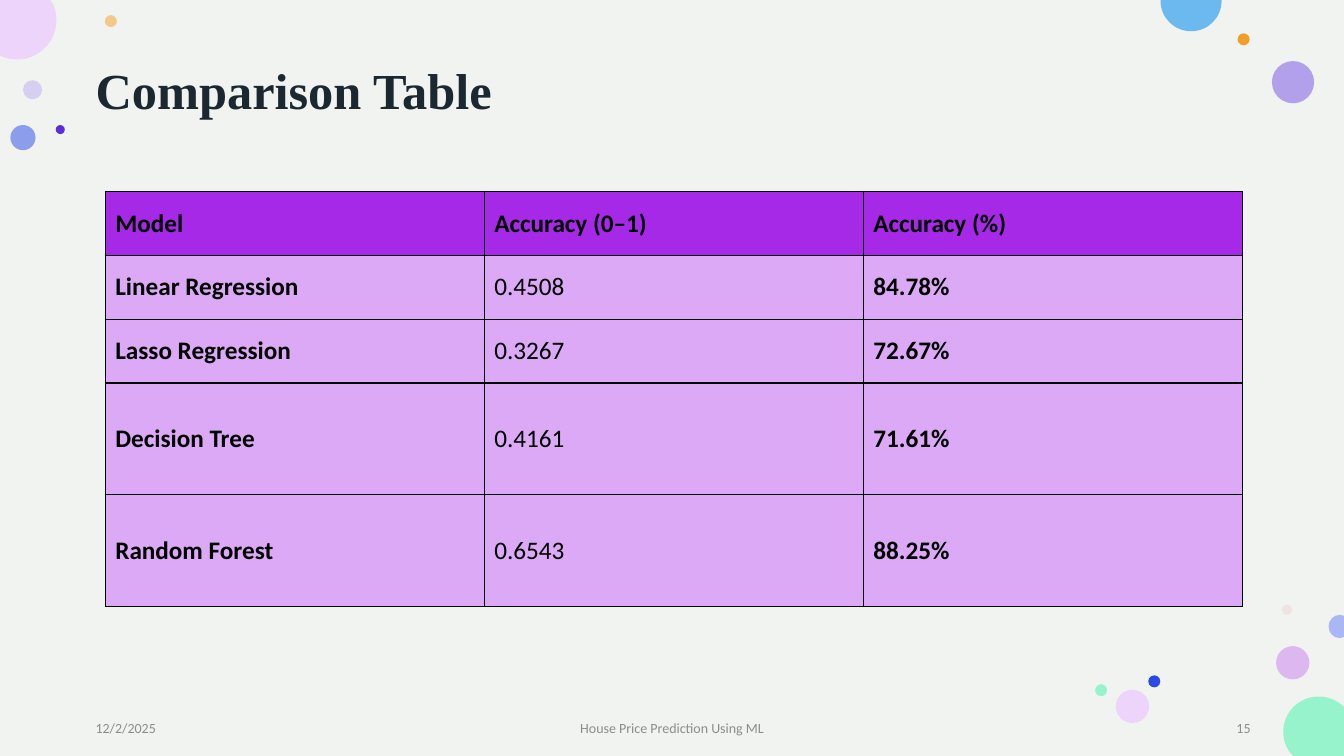
from lxml import etree
from pptx import Presentation
from pptx.dml import color
from pptx.enum import shapes, text
from pptx.oxml import ns
from pptx.util import Pt

WIDTH, HEIGHT = 960, 540

DOTS = [
    (16.4, 57.3, 13.7, "BDACF0", 50),
    (74.9, 10.8, 8.6, "F39E29", 50),
    (911.5, 461.5, 23.8, "CA7FF1", 50),
    (7.4, 89.3, 18, "294AE7", 50),
    (908.5, 43.6, 30.2, "9B82E8", 72),
    (884, 23.8, 8.6, "F39E29", 100),
    (915.8, 432, 7.2, "E3BEBE", 28),
    (820.2, 482.4, 8.6, "294AE7", 100),
    (797, 492.7, 23.8, "EDD4FA", 100),
    (782.2, 488.7, 8.6, "97F3CC", 100),
    (39.8, 89.3, 6.5, "592FD9", 100),
]

EDGE_BUBBLES = [
    ("97F3CC", (941.8, 497.5), [
        (948.9, 497.5, 955.1, 500.3, 959.8, 504.7), (960, 505.2), (960, 540),
        (923.8, 540), (922.4, 538.6),
        (918.6, 534.2, 916.6, 528.6, 916.6, 522.7),
        (916.6, 508.8, 927.9, 497.5, 941.8, 497.5)]),
    ("EDD4FA", (0, 0), [
        (36, 0), (38.2, 3.6),
        (39.6, 6.8, 40.3, 10.5, 40.3, 14.4),
        (40.3, 29.9, 27.7, 42.5, 12.2, 42.5),
        (8.3, 42.5, 4.7, 41.8, 1.4, 40.3), (0, 39.6)]),
    ("6BB9EF", (829, 0), [
        (872.6, 0), (872.6, 0.7),
        (872.6, 12.6, 862.9, 22.3, 850.9, 22.3),
        (838.8, 22.3, 829, 12.6, 829, 0.7)]),
    ("A9B7F5", (957.1, 439.2), [
        (960, 439.9), (960, 455), (957.1, 455.8),
        (952.6, 455.8, 949, 452.1, 949, 447.5),
        (949, 442.9, 952.6, 439.2, 957.1, 439.2)]),
]

RESULTS = [
    ("Model", "Accuracy (0–1)", "Accuracy (%)"),
    ("Linear Regression", "0.4508", "84.78%"),
    ("Lasso Regression", "0.3267", "72.67%"),
    ("Decision Tree", "0.4161", "71.61%"),
    ("Random Forest", "0.6543", "88.25%"),
]
ROW_HEIGHTS = [45.6, 45.6, 45.6, 79.8, 79.8]
COLUMN_WIDTH = 270.72

TITLE_FONT = {"name": "Times New Roman", "size": Pt(36), "bold": True}
CELL_FONT = {"name": "Calibri", "size": Pt(18)}
FOOTER_FONT = {"name": "Calibri", "size": Pt(10)}


def set_fill(fill, hex_color, opacity=100):
    fill.solid()
    fill.fore_color.rgb = color.RGBColor.from_string(hex_color)
    if opacity < 100:
        value = fill.fore_color._xFill.find(ns.qn("a:srgbClr"))
        etree.SubElement(value, ns.qn("a:alpha"), val=str(opacity * 1000))


def style_shape(shape, hex_color, opacity=100):
    shape.shadow.inherit = False
    shape.line.fill.background()
    set_fill(shape.fill, hex_color, opacity)


def add_filled(slide, kind, box, hex_color, opacity=100):
    shape = slide.shapes.add_shape(kind, *map(Pt, box))
    style_shape(shape, hex_color, opacity)


def add_edge_bubble(slide, hex_color, start, steps):
    builder = slide.shapes.build_freeform(*map(Pt, start))
    builder.add_line_segments([tuple(map(Pt, step[-2:])) for step in steps])
    shape = builder.convert_to_shape()
    segments = list(shape._element.iter(ns.qn("a:lnTo")))
    for segment, step in zip(segments, steps):
        if len(step) == 6:
            segment.tag = ns.qn("a:cubicBezTo")
            for index, (x, y) in enumerate((step[:2], step[2:4])):
                point = etree.Element(ns.qn("a:pt"), x=str(Pt(x) - shape.left),
                                      y=str(Pt(y) - shape.top))
                segment.insert(index, point)
    style_shape(shape, hex_color)


def write(frame, content, font, hex_color, **paragraph_format):
    paragraph = frame.paragraphs[0]
    for name, value in paragraph_format.items():
        setattr(paragraph, name, value)
    run = paragraph.add_run()
    run.text = content
    for name, value in font.items():
        setattr(run.font, name, value)
    set_fill(run.font.fill, hex_color)


def add_label(slide, box, content, font, hex_color, **paragraph_format):
    frame = slide.shapes.add_textbox(*map(Pt, box)).text_frame
    frame.word_wrap = True
    frame.vertical_anchor = text.MSO_ANCHOR.MIDDLE
    write(frame, content, font, hex_color, **paragraph_format)


def add_borders(cell):
    properties = cell._tc.get_or_add_tcPr()
    for index, side in enumerate(("lnL", "lnR", "lnT", "lnB")):
        line = etree.Element(ns.qn(f"a:{side}"), w=str(Pt(1)))
        fill = etree.SubElement(line, ns.qn("a:solidFill"))
        etree.SubElement(fill, ns.qn("a:srgbClr"), val="000000")
        properties.insert(index, line)


def add_results_table(slide):
    columns = len(RESULTS[0])
    table = slide.shapes.add_table(
        len(RESULTS), columns, Pt(75.2), Pt(136.8),
        Pt(COLUMN_WIDTH * columns), Pt(sum(ROW_HEIGHTS))).table
    for column in table.columns:
        column.width = Pt(COLUMN_WIDTH)
    for row_index, values in enumerate(RESULTS):
        table.rows[row_index].height = Pt(ROW_HEIGHTS[row_index])
        for column_index, value in enumerate(values):
            cell = table.cell(row_index, column_index)
            cell.vertical_anchor = text.MSO_ANCHOR.MIDDLE
            set_fill(cell.fill, "DBA9F5" if row_index else "A629E7")
            add_borders(cell)
            bold = row_index == 0 or column_index != 1
            write(cell.text_frame, value, {**CELL_FONT, "bold": bold}, "000000")


def main():
    presentation = Presentation()
    presentation.slide_width = Pt(WIDTH)
    presentation.slide_height = Pt(HEIGHT)
    slide = presentation.slides.add_slide(presentation.slide_layouts[6])
    add_filled(slide, shapes.MSO_SHAPE.RECTANGLE, (0, 0, WIDTH, HEIGHT), "F1F3F0")
    for left, top, diameter, hex_color, opacity in DOTS:
        add_filled(slide, shapes.MSO_SHAPE.OVAL, (left, top, diameter, diameter),
                   hex_color, opacity)
    for bubble in EDGE_BUBBLES:
        add_edge_bubble(slide, *bubble)
    add_label(slide, (61.2, 28.2, 839.5, 76.3), "Comparison Table",
              TITLE_FONT, "1B2830", line_spacing=0.9)
    add_results_table(slide)
    align = text.PP_ALIGN
    for left, width, content, alignment in (
        (61.2, 216, "12/2/2025", align.LEFT),
        (318, 324, "House Price Prediction Using ML", align.CENTER),
        (684.4, 216, "15", align.RIGHT),
    ):
        add_label(slide, (left, 510.8, width, 18.7), content,
                  FOOTER_FONT, "8C8C8C", alignment=alignment)
    presentation.save("out.pptx")


if __name__ == "__main__":
    main()
